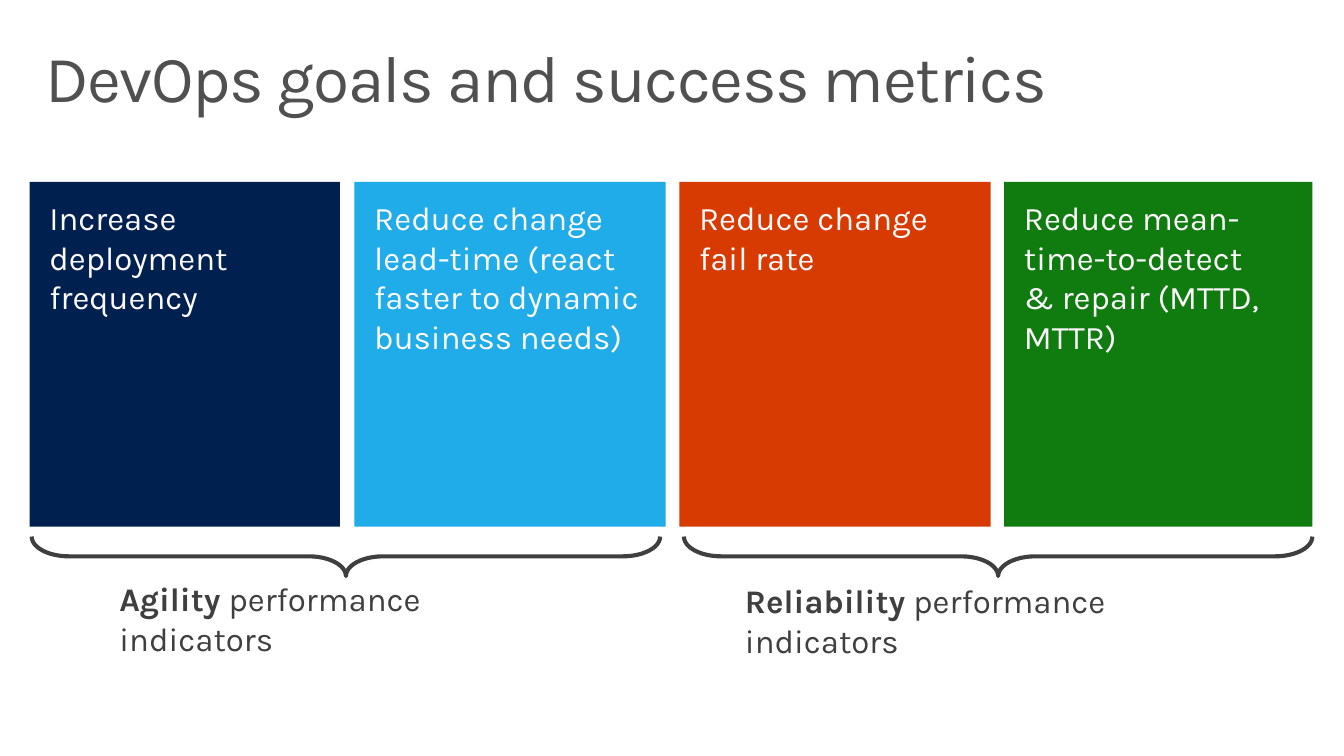
from dataclasses import dataclass
from pptx import Presentation
from pptx.dml.color import RGBColor
from pptx.enum.shapes import MSO_SHAPE
from pptx.enum.text import MSO_ANCHOR, PP_ALIGN
from pptx.util import Inches, Pt


@dataclass(frozen=True)
class Theme:
    font: str = "Karla"
    title: str = "505050"
    dark: str = "3F3F3F"
    light: str = "FDFAFD"
    navy: str = "002050"
    sky: str = "20ABE9"
    red: str = "D83B01"
    green: str = "107C10"
    head: int = 48
    body: int = 24
    rule: int = 3


THEME = Theme()


def style(run, size, color, bold=False):
    font = run.font
    font.name = THEME.font
    font.size = Pt(size)
    font.bold = bold
    font.color.rgb = RGBColor.from_string(color)


def set_frame(frame, side, top, anchor=MSO_ANCHOR.TOP):
    frame.word_wrap = True
    frame.margin_left = frame.margin_right = Inches(side)
    frame.margin_top = frame.margin_bottom = Inches(top)
    frame.vertical_anchor = anchor


def add_title(slide, text):
    box = slide.shapes.add_textbox(Inches(0.3), Inches(0.32), Inches(13), Inches(1))
    set_frame(box.text_frame, 0.16, 0.1, MSO_ANCHOR.MIDDLE)
    box.text_frame.text = text
    line = box.text_frame.paragraphs[0]
    line.line_spacing = 0.9
    run = line.runs[0]
    style(run, THEME.head, THEME.title)
    run.font._element.set("spc", "-100")


def add_card(slide, left, width, color, text):
    card = slide.shapes.add_shape(
        MSO_SHAPE.RECTANGLE, Inches(left), Inches(1.84), Inches(width), Inches(3.49))
    card.shadow.inherit = False
    card.fill.solid()
    card.fill.fore_color.rgb = RGBColor.from_string(color)
    card.line.fill.background()
    set_frame(card.text_frame, 0.2, 0.16)
    line = card.text_frame.paragraphs[0]
    line.text = text
    line.alignment = PP_ALIGN.LEFT
    for run in line.runs:
        style(run, THEME.body, THEME.light)


def add_brace(slide, left):
    brace = slide.shapes.add_shape(
        MSO_SHAPE.RIGHT_BRACE, Inches(left), Inches(2.45), Inches(0.4), Inches(6.36))
    brace.rotation = 90
    brace.adjustments[0] = 0.94
    brace.shadow.inherit = False
    brace.fill.background()
    brace.line.color.rgb = RGBColor.from_string(THEME.dark)
    brace.line.width = Pt(THEME.rule)


def add_label(slide, left, top, width, lead, rest):
    box = slide.shapes.add_textbox(
        Inches(left), Inches(top), Inches(width), Inches(0.5))
    set_frame(box.text_frame, 0.1, 0.05)
    line = box.text_frame.paragraphs[0]
    for text, bold in ((lead, True), (rest, False)):
        run = line.add_run()
        run.text = text
        style(run, THEME.body, THEME.dark, bold)


def main():
    deck = Presentation()
    deck.slide_width, deck.slide_height = Inches(13.6), Inches(7.65)
    slide = deck.slides.add_slide(deck.slide_layouts[6])
    add_title(slide, "DevOps goals and success metrics")

    # Goal cards, evenly spaced; \v breaks a line
    goals = (
        (3.14, THEME.navy, "Increase\vdeployment\vfrequency"),
        (3.15, THEME.sky,
         "Reduce change lead-time (react faster to dynamic business needs)"),
        (3.15, THEME.red, "Reduce change\vfail rate"),
        (3.12, THEME.green, "Reduce mean-time-to-detect\v& repair (MTTD, MTTR)"),
    )
    for i, (width, color, text) in enumerate(goals):
        add_card(slide, 0.3 + i * 3.287, width, color, text)

    # Each brace joins two cards under one group of metrics
    groups = (
        (3.3, 1.11, 5.81, 4.7, "Agility "),
        (9.9, 7.44, 5.83, 5.2, "Reliability "),
    )
    for brace, left, top, width, lead in groups:
        add_brace(slide, brace)
        add_label(slide, left, top, width, lead, "performance indicators")

    deck.save("out.pptx")


if __name__ == "__main__":
    main()
